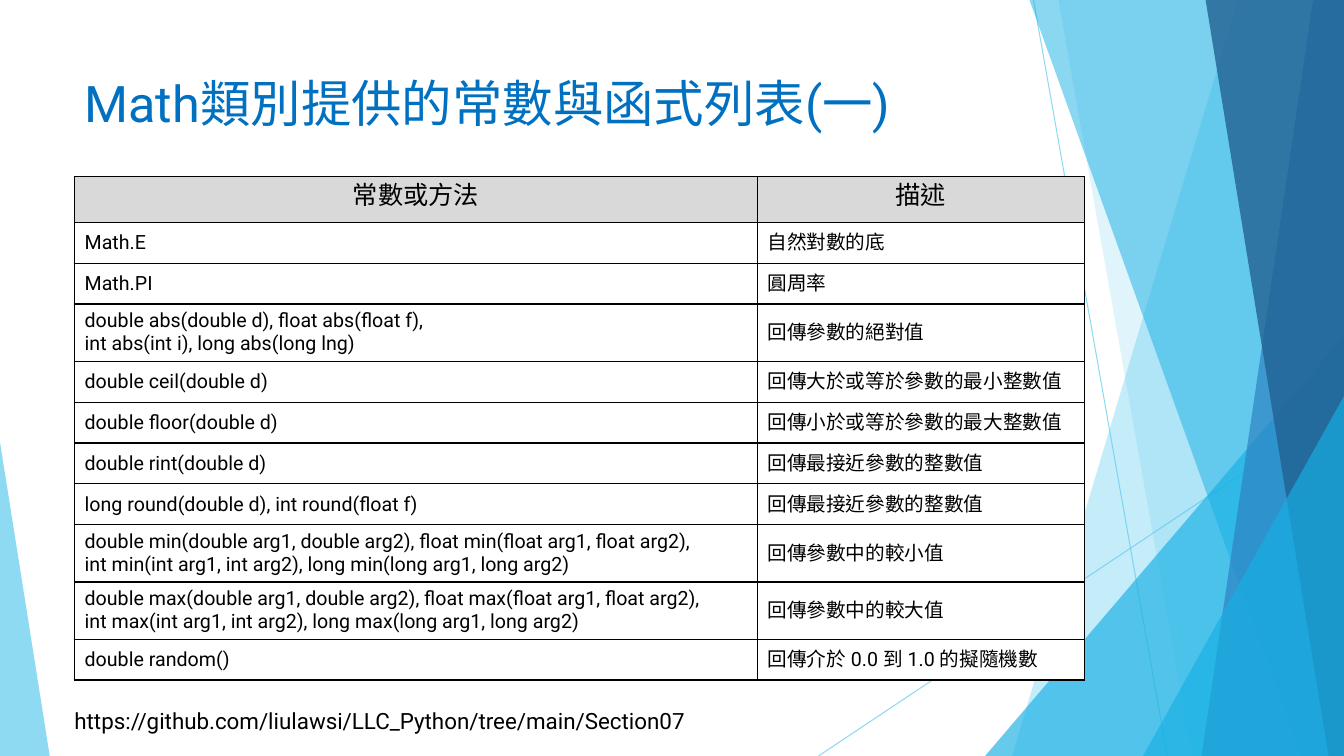
from lxml import etree
from pptx import Presentation, util as u
from pptx.dml.color import RGBColor
from pptx.enum import shapes, text
from pptx.oxml.ns import qn

COLORS = {
    "sky": "5FCBEF", "cyan": "17B0E4", "blue": "2E83C3", "navy": "226292",
    "title": "0070C0", "black": "000000", "white": "FFFFFF", "header": "D9D9D9",
}
FONT = "Roboto"
WIDTH, HEIGHT = u.Inches(13.33), u.Inches(7.5)

# Positions are percentages of the slide's width and height.
RAYS = [(76.9, 0, 86.85, 100), (100, 53.7, 60.9, 100)]
FACETS = [  # kind, geometry, colour, opacity
    ("panel", (92.1, 75.3), "sky", 36),
    ("panel", (78.75, 88.7), "sky", 20),
    ("triangle", (73.3, 44.4, 26.7, 55.6, 1), "cyan", 66),
    ("panel", (76.6, 96.8), "cyan", 50),
    ("panel", (97.7, 89.4), "blue", 70),
    ("panel", (89.7, 98.85), "navy", 80),
    ("triangle", (85.05, 52.4, 14.95, 47.6, 1), "cyan", 66),
    ("triangle", (0, 58.5, 3.7, 41.5, 0), "sky", 70),
]
TITLE_BOX = (5.55, 8.9, 70.5, 19.2)
TABLE_BOX = (5.55, 23.3, 75.15, 66.4)
LINK_BOX = (4.8, 92.9, 56.5, 4.9)

# In a cell, \n starts a paragraph and \v breaks a line.
ROWS = [
    ("常數或方法", "描述"),
    ("Math.E", "自然對數的底"),
    ("Math.PI", "圓周率"),
    ("double abs(double d), float abs(float f),\nint abs(int i), long abs(long lng)", "回傳參數的絕對值"),
    ("double ceil(double d)", "回傳大於或等於參數的最小整數值"),
    ("double floor(double d)", "回傳小於或等於參數的最大整數值"),
    ("double rint(double d)", "回傳最接近參數的整數值"),
    ("long round(double d), int round(float f)", "回傳最接近參數的整數值"),
    ("double min(double arg1, double arg2), float min(float arg1, float arg2),\v"
     "int min(int arg1, int arg2), long min(long arg1, long arg2)", "回傳參數中的較小值"),
    ("double max(double arg1, double arg2), float max(float arg1, float arg2),\v"
     "int max(int arg1, int arg2), long max(long arg1, long arg2)", "回傳參數中的較大值"),
    ("double random()", "回傳介於 0.0 到 1.0 的擬隨機數"),
]


def rgb(name):
    return RGBColor.from_string(COLORS[name])


def place(box):
    """Turn percentages, alternating across and down, into slide lengths."""
    return [int(value / 100 * (HEIGHT if index % 2 else WIDTH))
            for index, value in enumerate(box)]


def set_opacity(shape, percent):
    for color in shape._element.spPr.iter(qn("a:srgbClr")):
        etree.SubElement(color, qn("a:alpha"), val=str(percent * 1000))


def style_text(frame, size, color):
    for paragraph in frame.paragraphs:
        for run in paragraph.runs:
            run.font.size = u.Pt(size)
            run.font.name = FONT
            run.font.color.rgb = rgb(color)
            properties = run._r.get_or_add_rPr()
            properties.set("lang", "zh-TW")
            etree.SubElement(properties, qn("a:ea"), typeface=FONT)


def add_ray(slide, ends):
    ray = slide.shapes.add_connector(shapes.MSO_CONNECTOR.STRAIGHT, *place(ends))
    ray.line.color.rgb = rgb("sky")
    ray.line.width = u.Pt(0.75)
    set_opacity(ray, 70)
    etree.SubElement(ray._element.spPr, qn("a:effectLst"))


def add_panel(slide, top, bottom):
    """Fill from a slanted left edge to the right side of the slide."""
    start, *corners = [place(point) for point in
                       ((top, 0), (100, 0), (100, 100), (bottom, 100))]
    builder = slide.shapes.build_freeform(*start)
    builder.add_line_segments(corners, close=True)
    return builder.convert_to_shape()


def add_triangle(slide, left, top, width, height, apex):
    triangle = slide.shapes.add_shape(
        shapes.MSO_SHAPE.ISOSCELES_TRIANGLE, *place((left, top, width, height)))
    triangle.adjustments[0] = apex
    return triangle


def add_backdrop(slide):
    for ends in RAYS:
        add_ray(slide, ends)
    builders = {"panel": add_panel, "triangle": add_triangle}
    for kind, geometry, color, opacity in FACETS:
        facet = builders[kind](slide, *geometry)
        facet.shadow.inherit = False
        facet.fill.solid()
        facet.fill.fore_color.rgb = rgb(color)
        facet.line.fill.background()
        set_opacity(facet, opacity)


def add_label(slide, box, words, size, color):
    frame = slide.shapes.add_textbox(*place(box)).text_frame
    frame.word_wrap = True
    frame.text = words
    style_text(frame, size, color)


def add_borders(cell):
    properties = cell._tc.get_or_add_tcPr()
    for index, side in enumerate(("lnL", "lnR", "lnT", "lnB")):
        border = etree.Element(qn(f"a:{side}"), w=str(u.Pt(1)))
        fill = etree.SubElement(border, qn("a:solidFill"))
        etree.SubElement(fill, qn("a:srgbClr"), val=COLORS["black"])
        properties.insert(index, border)


def fill_cell(cell, words, is_header):
    cell.text = words
    cell.fill.solid()
    cell.fill.fore_color.rgb = rgb("header" if is_header else "white")
    style_text(cell.text_frame, 18 if is_header else 14, "black")
    if is_header:
        cell.text_frame.paragraphs[0].alignment = text.PP_ALIGN.CENTER
    else:
        cell.vertical_anchor = text.MSO_ANCHOR.MIDDLE
    add_borders(cell)


def add_method_table(slide, box):
    left, top, width, height = place(box)
    table = slide.shapes.add_table(len(ROWS), 2, left, top, width, height).table
    table.first_row = table.horz_banding = False
    table.columns[0].width = int(width * 0.676)
    table.columns[1].width = width - table.columns[0].width

    header, double = int(height * 0.092), int(height * 0.1125)
    is_double = [len(words.splitlines()) > 1 for words, _ in ROWS]
    singles = len(ROWS) - 1 - sum(is_double)
    single = (height - header - sum(is_double) * double) // singles
    for index, words in enumerate(ROWS):
        table.rows[index].height = (
            header if index == 0 else double if is_double[index] else single)
        for column, cell_words in enumerate(words):
            fill_cell(table.cell(index, column), cell_words, index == 0)


def main():
    presentation = Presentation()
    presentation.slide_width, presentation.slide_height = WIDTH, HEIGHT
    slide = presentation.slides.add_slide(presentation.slide_layouts[6])
    add_backdrop(slide)
    add_label(slide, LINK_BOX,
              "https://github.com/liulawsi/LLC_Python/tree/main/Section07", 16, "black")
    add_label(slide, TITLE_BOX, "Math類別提供的常數與函式列表(一)", 36, "title")
    add_method_table(slide, TABLE_BOX)
    presentation.save("out.pptx")


if __name__ == "__main__":
    main()
